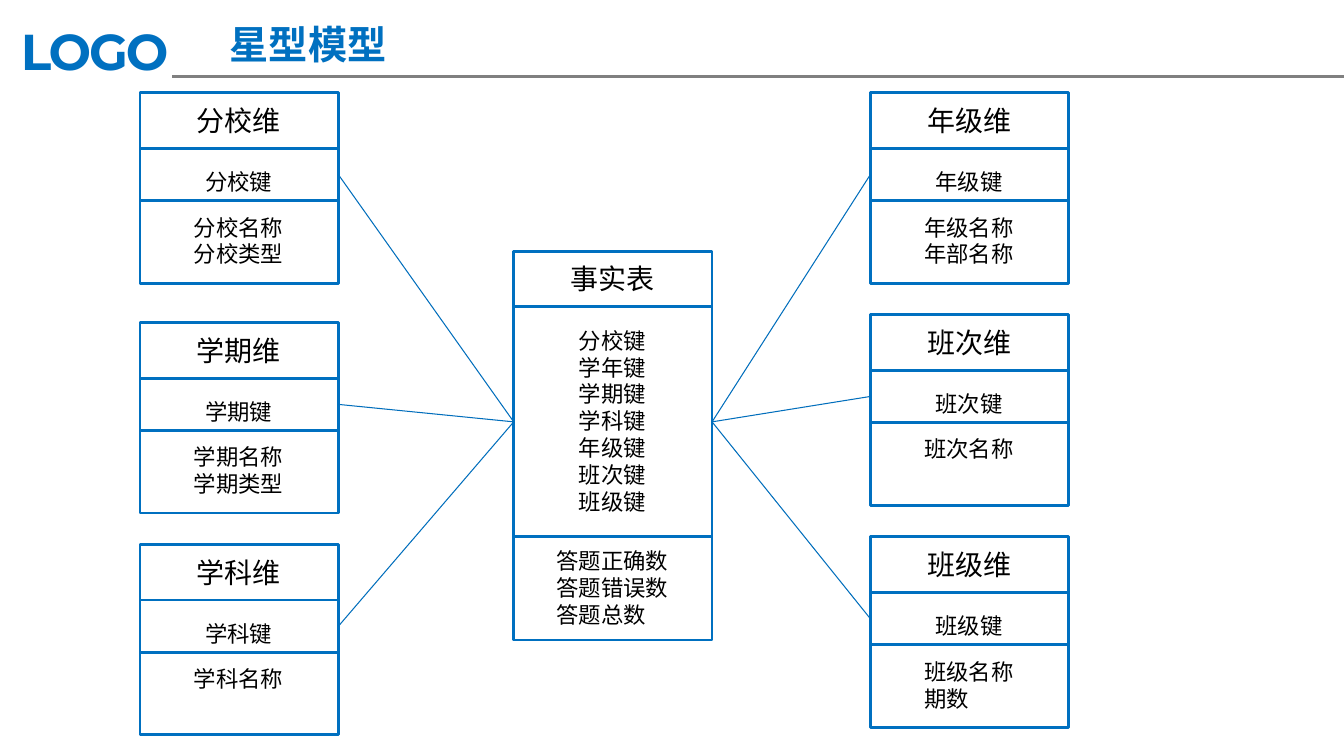
"""Build the star schema slide: one fact table linked to six dimensions."""
import dataclasses

import lxml.etree
import pptx
import pptx.dml.color
import pptx.enum.shapes
import pptx.enum.text
import pptx.oxml.ns
import pptx.util

Cm = pptx.util.Cm
Pt = pptx.util.Pt


@dataclasses.dataclass(frozen=True)
class Theme:
    """Colours, fonts and type sizes of the slide."""

    brand: str = "0070C0"
    link: str = "006EBC"
    rule: str = "808080"
    ink: str = "000000"
    font: str = "Noto Sans CJK SC"
    logo_font: str = "Montserrat"
    logo_size: int = 36
    title_size: int = 28
    heading_size: int = 20
    body_size: int = 16
    line_spacing: float = 1.2


class StarSlide:
    """Draw schema elements on one slide in one theme."""

    LEFT_SITE, RIGHT_SITE = 1, 3
    CARD_WIDTH = 5.0
    CM_PER_POINT = 2.54 / 72

    def __init__(self, slide, theme):
        """Keep the slide and its theme."""
        self.slide = slide
        self.theme = theme

    def set_text(self, frame, lines, size, color, font, bold=False):
        """Fill a text frame with one left-aligned paragraph per line."""
        frame.text = "\n".join(lines)
        frame.vertical_anchor = pptx.enum.text.MSO_ANCHOR.TOP
        for paragraph in frame.paragraphs:
            paragraph.alignment = pptx.enum.text.PP_ALIGN.LEFT
            paragraph.line_spacing = Pt(size * self.theme.line_spacing)
            paragraph.space_before = Pt(0)
            paragraph.font.name = font
            paragraph.font.size = Pt(size)
            paragraph.font.bold = bold
            paragraph.font.color.rgb = pptx.dml.color.RGBColor.from_string(color)
            east_asian = lxml.etree.SubElement(
                paragraph.font._rPr, pptx.oxml.ns.qn("a:ea"))
            east_asian.set("typeface", font)

    def title(self, wording, left, top, width, height):
        """Place the slide title."""
        heading = self.slide.shapes.title
        heading.left, heading.top = Cm(left), Cm(top)
        heading.width, heading.height = Cm(width), Cm(height)
        self.set_text(heading.text_frame, [wording], self.theme.title_size,
                      self.theme.brand, self.theme.font, bold=True)

    def logo(self, wording, left, top, width, height):
        """Place the wordmark with tightened letters."""
        frame = self.slide.shapes.add_textbox(
            Cm(left), Cm(top), Cm(width), Cm(height)).text_frame
        frame.word_wrap = True
        frame.margin_left = frame.margin_right = Cm(0.33)
        frame.margin_top = frame.margin_bottom = Cm(0.18)
        self.set_text(frame, [wording], self.theme.logo_size,
                      self.theme.brand, self.theme.logo_font, bold=True)
        frame.paragraphs[0].font._rPr.set("spc", "-150")

    def line(self, start, end, color, weight):
        """Draw a straight line without a shadow."""
        connector = self.slide.shapes.add_connector(
            pptx.enum.shapes.MSO_CONNECTOR.STRAIGHT,
            *(Cm(value) for value in (*start, *end)))
        connector.line.color.rgb = pptx.dml.color.RGBColor.from_string(color)
        connector.line.width = Pt(weight)
        lxml.etree.SubElement(
            connector._element.spPr, pptx.oxml.ns.qn("a:effectLst"))
        return connector

    def link(self, source, source_site, target, target_site):
        """Join two cells at their connection sites."""
        connector = self.line((0, 0), (1, 1), self.theme.link, 0.75)
        connector.begin_connect(source, source_site)
        connector.end_connect(target, target_site)

    def cell(self, left, top, height, lines, size, drop):
        """Draw an outlined cell with its text block centred across it."""
        outline = self.slide.shapes.add_shape(
            pptx.enum.shapes.MSO_SHAPE.RECTANGLE,
            Cm(left), Cm(top), Cm(self.CARD_WIDTH), Cm(height))
        outline.shadow.inherit = False
        outline.fill.background()
        outline.line.color.rgb = pptx.dml.color.RGBColor.from_string(
            self.theme.brand)
        outline.line.width = Pt(2)
        em = size * self.CM_PER_POINT
        text_width = max(map(len, lines)) * em + 0.52
        text_height = len(lines) * em * self.theme.line_spacing + 0.25
        label = self.slide.shapes.add_textbox(
            Cm(left + (self.CARD_WIDTH - text_width) / 2), Cm(top + drop),
            Cm(text_width), Cm(text_height)).text_frame
        label.word_wrap = False
        label.auto_size = pptx.enum.text.MSO_AUTO_SIZE.SHAPE_TO_FIT_TEXT
        self.set_text(label, lines, size, self.theme.ink, self.theme.font)
        return outline

    def card(self, left, top, name, keys, details, heights, drops):
        """Stack name, key and detail cells; return the key cell."""
        blocks = ([name], keys, details)
        sizes = (self.theme.heading_size,) + (self.theme.body_size,) * 2
        cells = []
        for lines, size, height, drop in zip(blocks, sizes, heights, drops):
            cells.append(self.cell(left, top, height, lines, size, drop))
            top += height
        return cells[1]


LEFT_DIMENSIONS = [
    (2.34, "分校", ["分校名称", "分校类型"]),
    (8.13, "学期", ["学期名称", "学期类型"]),
    (13.72, "学科", ["学科名称"]),
]
RIGHT_DIMENSIONS = [
    (2.34, "年级", ["年级名称", "年部名称"]),
    (7.93, "班次", ["班次名称"]),
    (13.53, "班级", ["班级名称", "期数"]),
]
FACT_KEYS = [f"{name}键" for name in
             ("分校", "学年", "学期", "学科", "年级", "班次", "班级")]
MEASURES = ["答题正确数", "答题错误数", "答题总数"]


def main():
    """Build and save the slide."""
    deck = pptx.Presentation()
    deck.slide_width, deck.slide_height = Cm(33.88), Cm(19.05)
    theme = Theme()
    star = StarSlide(deck.slides.add_slide(deck.slide_layouts[5]), theme)

    star.logo("LOGO", 0.2, 0.33, 4.72, 1.88)
    star.line((4.34, 1.93), (33.88, 1.93), theme.rule, 2)
    star.title("星型模型", 5.54, 0.38, 9.14, 1.45)

    fact = star.card(12.95, 6.33, "事实表", FACT_KEYS, MEASURES,
                     heights=(1.4, 5.8, 2.6), drops=(0.14, 0.38, 0.14))
    sides = [
        (3.53, LEFT_DIMENSIONS, star.RIGHT_SITE, star.LEFT_SITE),
        (21.94, RIGHT_DIMENSIONS, star.LEFT_SITE, star.RIGHT_SITE),
    ]
    links = []
    for left, dimensions, key_site, fact_site in sides:
        for top, name, details in dimensions:
            key = star.card(left, top, f"{name}维", [f"{name}键"], details,
                            heights=(1.4, 1.32, 2.08), drops=(0.14, 0.38, 0.2))
            links.append((key, key_site, fact, fact_site))
    for ends in links:
        star.link(*ends)

    deck.save("out.pptx")


if __name__ == "__main__":
    main()
